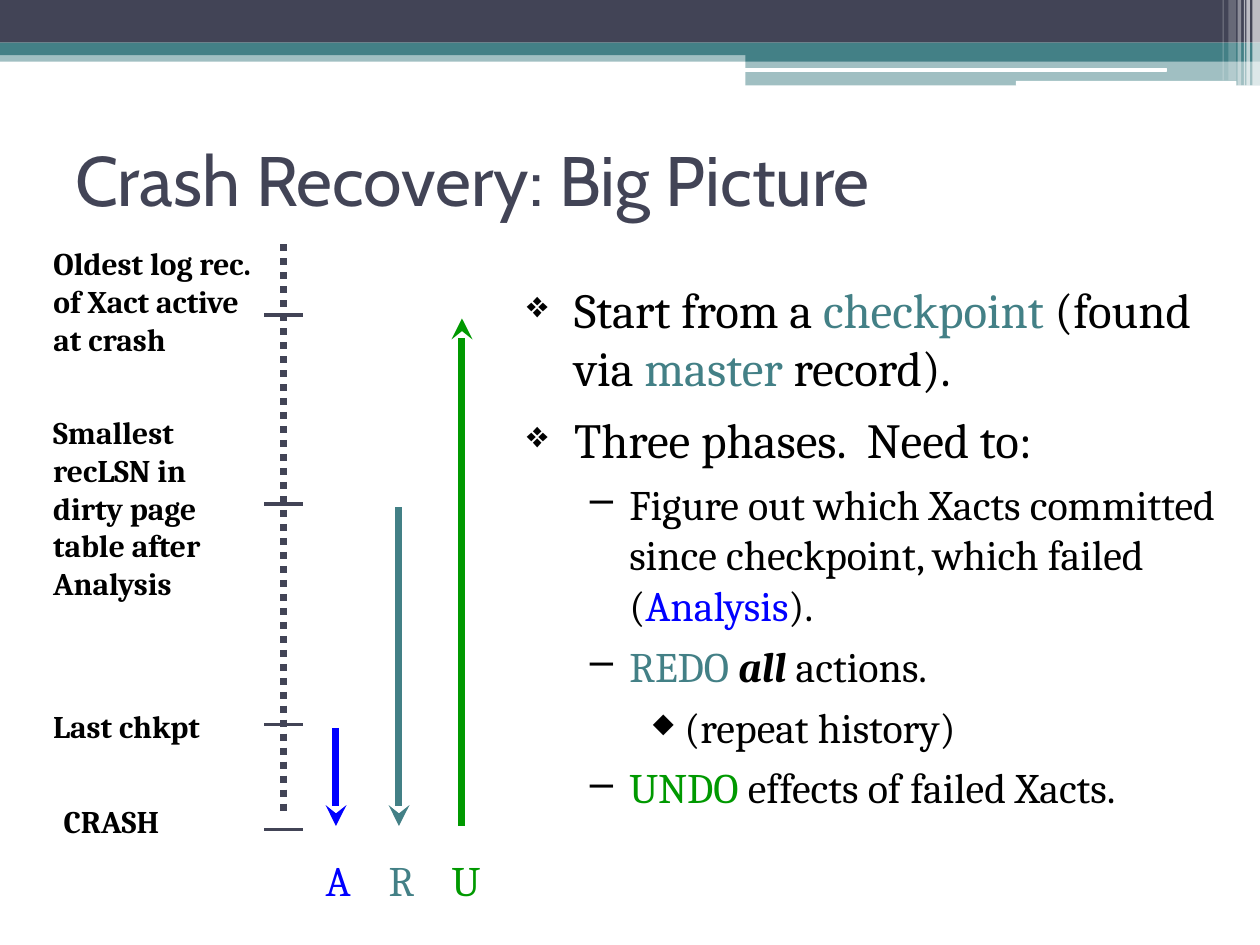
from lxml.etree import SubElement
from pptx import Presentation
from pptx.dml.color import RGBColor
from pptx.enum.dml import MSO_LINE
from pptx.enum.shapes import MSO_CONNECTOR, MSO_SHAPE
from pptx.enum.text import MSO_ANCHOR
from pptx.oxml.ns import qn
from pptx.util import Pt

COLORS = {
    "navy": "424456", "teal": "438086", "white": "FFFFFF",
    "black": "000000", "blue": "0000FF", "green": "009900",
}

presentation = Presentation()
presentation.slide_width, presentation.slide_height = Pt(720), Pt(540)
slide = presentation.slides.add_slide(presentation.slide_layouts[6])


def add_text(box, paragraphs, wrap=True, anchor=MSO_ANCHOR.TOP, **base_format):
    """Add a text box; each paragraph is a list of (text, format changes) runs."""
    frame = slide.shapes.add_textbox(*map(Pt, box)).text_frame
    frame.word_wrap = wrap
    frame.vertical_anchor = anchor
    for index, runs in enumerate(paragraphs):
        paragraph = frame.paragraphs[0] if index == 0 else frame.add_paragraph()
        for text, changes in runs:
            run = paragraph.add_run()
            run.text = text
            run_format = {"name": "Cambria", "color": "black", **base_format, **changes}
            run.font.color.rgb = RGBColor.from_string(COLORS[run_format.pop("color")])
            for attribute, value in run_format.items():
                setattr(run.font, attribute, value)
    return frame


def add_line(start, end, color, width):
    line = slide.shapes.add_connector(MSO_CONNECTOR.STRAIGHT, *map(Pt, start + end))
    line.line.color.rgb = RGBColor.from_string(COLORS[color])
    line.line.width = Pt(width)
    SubElement(line._element.spPr, qn("a:effectLst"))
    return line


# Header bands and the stripes at the right edge: left, top, width, height
RECTANGLE, ROUNDED = MSO_SHAPE.RECTANGLE, MSO_SHAPE.ROUNDED_RECTANGLE
header = [
    (RECTANGLE, (0, 28.8, 720, 6.5), "teal", 50),
    (RECTANGLE, (0, 0, 720, 24.4), "navy", 100),
    (RECTANGLE, (0, 24.4, 720, 7.2), "teal", 100),
    (RECTANGLE, (426, 28.2, 294, 7), "teal", 100),
    (RECTANGLE, (426, 35.2, 294, 13.6), "teal", 50),
    (ROUNDED, (425.6, 38.9, 241.2, 2.2), "white", 100),
    (ROUNDED, (580.5, 46.2, 126, 2.9), "white", 100),
]
stripes = [
    (715.6, 4.4, 49, 65), (712.2, 2, 49, 65), (710.8, 0.7, 49, 60),
    (707.2, 2, 49, 40), (702, 4.3, 46, 20), (698.6, 0.7, 46, 30),
]
header += [(RECTANGLE, (left, 0, width, height), "white", opacity)
           for left, width, height, opacity in stripes]
for kind, box, color, opacity in header:
    shape = slide.shapes.add_shape(kind, *map(Pt, box))
    shape.shadow.inherit = False
    shape.line.fill.background()
    shape.fill.solid()
    shape.fill.fore_color.rgb = RGBColor.from_string(COLORS[color])
    if opacity < 100:
        fill_color = shape._element.spPr.find(qn("a:solidFill"))[0]
        SubElement(fill_color, qn("a:alpha"), val=str(opacity * 1000))

add_text((36, 60, 648, 84), [[("Crash Recovery: Big Picture", {})]],
         anchor=MSO_ANCHOR.MIDDLE, name="Cabin", size=Pt(40), color="navy")

# Bulleted list
levels = [
    {"size": 28, "margin": 27, "hanging": 27, "before": 7, "bullet": "❖", "scale": 75},
    {"size": 24, "margin": 58.5, "hanging": 22.5, "before": 6, "bullet": "–", "scale": 100},
    {"size": 24, "margin": 90, "hanging": 18, "before": 6, "bullet": "◆", "scale": 65},
]
teal, blue, green = ({"color": color} for color in ("teal", "blue", "green"))
bullets = [
    (0, [("Start from a ", {}), ("checkpoint", teal), (" (found via ", {}),
         ("master", teal), (" record).", {})]),
    (0, [("Three phases.  Need to:", {})]),
    (1, [("Figure out which Xacts committed since checkpoint, which failed (", {}),
         ("Analysis", blue), (").", {})]),
    (1, [("REDO ", teal), ("all", {"bold": True, "italic": True}), (" actions.", {})]),
    (2, [("(repeat history)", {})]),
    (1, [("UNDO", green), (" effects of failed Xacts.", {})]),
]
body = add_text((294, 156, 426, 321), [runs for _, runs in bullets])
for paragraph, (level, _) in zip(body.paragraphs, bullets):
    style = levels[level]
    paragraph.level = level
    paragraph.space_before = Pt(style["before"])
    for run in paragraph.runs:
        run.font.size = Pt(style["size"])
    properties = paragraph._p.get_or_add_pPr()
    properties.set("marL", str(Pt(style["margin"])))
    properties.set("indent", str(-Pt(style["hanging"])))
    bullet_color = SubElement(properties, qn("a:buClr"))
    SubElement(bullet_color, qn("a:srgbClr"), val=COLORS["black"])
    SubElement(properties, qn("a:buSzPct"), val=str(style["scale"] * 1000))
    SubElement(properties, qn("a:buChar"), char=style["bullet"])

# Log timeline
timeline = add_line((162, 139.5), (162, 466), "navy", 4)
timeline.line.dash_style = MSO_LINE.ROUND_DOT

labels = [
    ("Oldest log rec. of Xact active at crash", 23.5, 136, 94),
    ("Smallest recLSN in dirty page table after Analysis", 23.3, 232.5, 115),
    ("Last chkpt", 23.3, 400.5, 29),
    ("CRASH", 29.3, 454.5, 29),
]
for text, left, top, height in labels:
    add_text((left, top, 132.5, height), [[(text, {})]], size=Pt(18), bold=True)

for tick in (180, 288, 414, 474):
    add_line((151, tick), (173, tick), "navy", 2)

# Recovery phases: letter, colour, x, start and end of the arrow
phases = [
    ("A", "blue", 192, 416, 472),
    ("R", "teal", 228, 290, 472),
    ("U", "green", 264, 472, 182),
]
for letter, color, x, start, end in phases:
    arrow = add_line((x, start), (x, end), color, 4)
    SubElement(arrow.line._get_or_add_ln(), qn("a:tailEnd"), type="stealth")
    add_text((x - 13, 484.5, 31, 36), [[(letter, {})]], wrap=False,
             size=Pt(24), color=color)

presentation.save("out.pptx")
